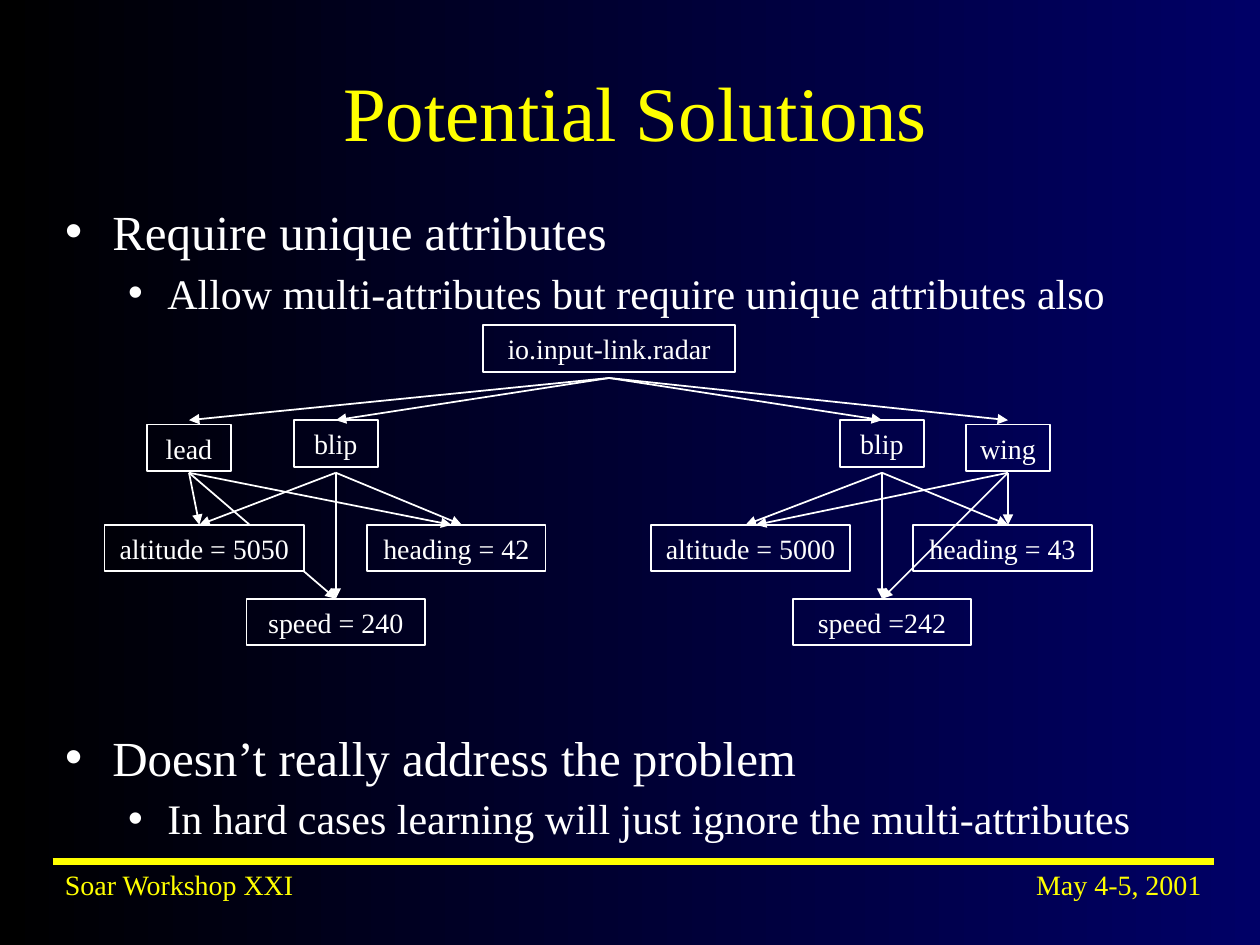
from dataclasses import dataclass

from lxml import etree
from pptx import Presentation
from pptx import util as u
from pptx.dml.color import RGBColor
from pptx.enum import shapes, text
from pptx.oxml.ns import qn

FONT = "Times New Roman"
WHITE, YELLOW, NAVY, BLACK = "FFFFFF", "FFFF00", "000066", "000000"

NODE_HEIGHT = 0.94
RADAR_X, RADAR_TOP, RADAR_FAN_Y = 12.28, 6.56, 7.62
BLIP_TOP, ALIAS_TOP, BLIP_FAN_Y = 8.47, 8.56, 9.53
DETAIL_TOP, SPEED_TOP = 10.58, 12.07

# text, size, level, space before
BULLETS = [
    ("Require unique attributes", 28, 0, 0),
    ("Allow multi-attributes but require unique attributes also", 24, 1, 4),
    ("Doesn’t really address the problem", 28, 0, 234),
    ("In hard cases learning will just ignore the multi-attributes", 24, 1, 4),
]
INDENTS = [(0.95, -0.95), (2.06, -0.79)]


@dataclass
class Blip:
    x: float
    altitude: str
    speed: str
    heading: str
    alias: str
    alias_x: float
    alias_altitude_x: float
    alias_heading_x: float
    opaque: str
    alias_arrows_behind: bool


BLIPS = [
    Blip(6.77, "altitude = 5050", "speed = 240", "heading = 42", "lead",
         3.81, 4.02, 9.1, "altitude = 5050", True),
    Blip(17.78, "altitude = 5000", "speed =242", "heading = 43", "wing",
         20.32, 15.24, 20.32, "heading = 43", False),
]


def colour(value):
    return RGBColor.from_string(value)


def format_runs(para, size, value):
    for span in para.runs:
        span.font.name = FONT
        span.font.size = u.Pt(size)
        span.font.color.rgb = colour(value)


def place(box, left, top, width, height):
    box.left, box.top = u.Cm(left), u.Cm(top)
    box.width, box.height = u.Cm(width), u.Cm(height)


def paint_background(page):
    fill = page.background.fill
    fill.gradient()
    fill.gradient_angle = 180
    for stop, value in zip(fill.gradient_stops, (NAVY, BLACK)):
        stop.color.rgb = colour(value)


def write_title(page):
    box = page.shapes.title
    place(box, 1.06, 0.64, 23.5, 3.18)
    frame = box.text_frame
    frame.text = "Potential Solutions"
    frame.vertical_anchor = text.MSO_ANCHOR.MIDDLE
    frame.paragraphs[0].alignment = text.PP_ALIGN.CENTER
    format_runs(frame.paragraphs[0], 44, YELLOW)


def add_bullet(para, level):
    props = para._p.get_or_add_pPr()
    left, hanging = INDENTS[level]
    props.set("marL", str(u.Cm(left)))
    props.set("indent", str(u.Cm(hanging)))
    bullet_colour = etree.SubElement(props, qn("a:buClr"))
    etree.SubElement(bullet_colour, qn("a:srgbClr"), val=WHITE)
    etree.SubElement(props, qn("a:buChar"), char="•")


def write_body(page):
    box = page.placeholders[1]
    place(box, 1.06, 3.81, 23.5, 13.13)
    frame = box.text_frame
    frame.auto_size = text.MSO_AUTO_SIZE.NONE
    frame.margin_top = u.Cm(0.25)
    frame.text = "\n".join(item[0] for item in BULLETS)
    for para, (_, size, level, gap) in zip(frame.paragraphs, BULLETS):
        add_bullet(para, level)
        para.level = level
        para.space_before = u.Pt(gap)
        format_runs(para, size, WHITE)


def add_line(page, start, end, value=WHITE, width=1):
    line = page.shapes.add_connector(
        shapes.MSO_CONNECTOR.STRAIGHT, *(u.Cm(n) for n in start + end))
    line.line.color.rgb = colour(value)
    line.line.width = u.Pt(width)
    etree.SubElement(line._element.spPr, qn("a:effectLst"))
    return line


def add_arrow(page, start, end):
    arrow = add_line(page, start, end)
    etree.SubElement(arrow.line._get_or_add_ln(), qn("a:tailEnd"), type="triangle")


def add_node(page, label, x, top, width, opaque=False):
    """Add a label box centred on x; an opaque one shows the page background."""
    box = page.shapes.add_shape(
        shapes.MSO_SHAPE.RECTANGLE, u.Cm(x - width / 2), u.Cm(top),
        u.Cm(width), u.Cm(NODE_HEIGHT))
    box.shadow.inherit = False
    if opaque:
        box._element.set("useBgFill", "1")
    else:
        box.fill.background()
    box.line.color.rgb = colour(WHITE)
    box.line.width = u.Pt(1)
    frame = box.text_frame
    frame.word_wrap = False
    frame.text = label
    frame.paragraphs[0].alignment = text.PP_ALIGN.CENTER
    format_runs(frame.paragraphs[0], 16, WHITE)


def add_detail_arrows(page, x, altitude_x, speed_x, heading_x):
    for end in ((altitude_x, DETAIL_TOP), (speed_x, SPEED_TOP), (heading_x, DETAIL_TOP)):
        add_arrow(page, (x, BLIP_FAN_Y), end)


def add_blip(page, blip):
    """Draw a blip, its alias, its three details and all their arrows."""
    alias_ends = (blip.alias_x, blip.alias_altitude_x, blip.x, blip.alias_heading_x)
    if blip.alias_arrows_behind:
        add_detail_arrows(page, *alias_ends)
    nodes = [
        ("blip", blip.x, BLIP_TOP, 1.69),
        (blip.alias, blip.alias_x, ALIAS_TOP, 1.69),
        (blip.altitude, blip.x - 2.65, DETAIL_TOP, 4.02),
        (blip.speed, blip.x, SPEED_TOP, 3.6),
        (blip.heading, blip.x + 2.43, DETAIL_TOP, 3.6),
    ]
    for label, x, top, width in nodes:
        add_node(page, label, x, top, width, label == blip.opaque)
    for x in (blip.x, blip.alias_x):
        add_arrow(page, (RADAR_X, RADAR_FAN_Y), (x, BLIP_TOP))
    add_detail_arrows(page, blip.x, blip.x - 2.75, blip.x, blip.x + 2.54)
    if not blip.alias_arrows_behind:
        add_detail_arrows(page, *alias_ends)


def add_footer(page):
    add_line(page, (1.06, 17.36), (24.48, 17.36), YELLOW, 4)
    box = page.shapes.add_textbox(u.Cm(1.06), u.Cm(17.36), u.Cm(23.5), u.Cm(NODE_HEIGHT))
    frame = box.text_frame
    frame.word_wrap = True
    para = frame.paragraphs[0]
    para.text = "Soar Workshop XXI\tMay 4-5, 2001"
    tabs = etree.SubElement(para._p.get_or_add_pPr(), qn("a:tabLst"))
    etree.SubElement(tabs, qn("a:tab"), pos=str(u.Cm(22.91)), algn="r")
    format_runs(para, 16, YELLOW)


def main():
    deck = Presentation()
    deck.slide_width, deck.slide_height = u.Cm(25.4), u.Cm(19.05)
    page = deck.slides.add_slide(deck.slide_layouts[1])
    paint_background(page)
    write_title(page)
    write_body(page)
    add_node(page, "io.input-link.radar", RADAR_X, RADAR_TOP, 5.08)
    for blip in BLIPS:
        add_blip(page, blip)
    add_footer(page)
    deck.save("out.pptx")


if __name__ == "__main__":
    main()
